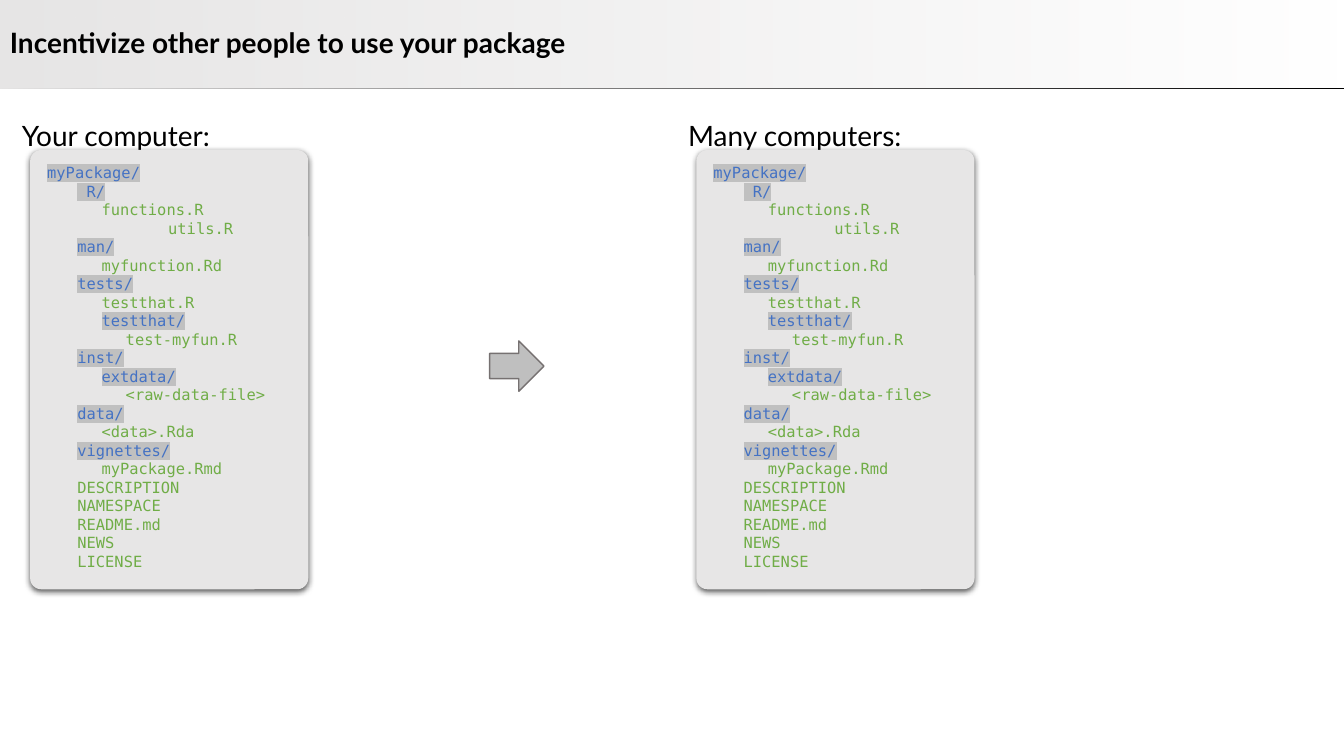
from dataclasses import dataclass

from lxml import etree
from pptx import Presentation
from pptx.dml.color import RGBColor
from pptx.enum.shapes import MSO_CONNECTOR, MSO_SHAPE
from pptx.enum.text import MSO_ANCHOR, PP_ALIGN
from pptx.oxml.ns import qn
from pptx.util import Cm, Pt

RECTANGLE = MSO_SHAPE.RECTANGLE
ROUNDED = MSO_SHAPE.ROUNDED_RECTANGLE
RIGHT_ARROW = MSO_SHAPE.RIGHT_ARROW
STRAIGHT = MSO_CONNECTOR.STRAIGHT
MIDDLE, TOP = MSO_ANCHOR.MIDDLE, MSO_ANCHOR.TOP
LEFT = PP_ALIGN.LEFT

TITLE = "Incentivize other people to use your package"
HEADINGS = ["Your computer:", "Many computers:"]
PACKAGE_TREE = [
    (0, "myPackage/"),
    (1, " R/"),
    (2, "functions.R"),
    (4, "utils.R"),
    (1, "man/"),
    (2, "myfunction.Rd"),
    (1, "tests/"),
    (2, "testthat.R"),
    (2, "testthat/"),
    (3, "test-myfun.R"),
    (1, "inst/"),
    (2, "extdata/"),
    (3, "<raw-data-file>"),
    (1, "data/"),
    (2, "<data>.Rda"),
    (1, "vignettes/"),
    (2, "myPackage.Rmd"),
    (1, "DESCRIPTION"),
    (1, "NAMESPACE"),
    (1, "README.md"),
    (1, "NEWS"),
    (1, "LICENSE"),
]


@dataclass(frozen=True)
class Theme:
    ink: str = "000000"
    panel: str = "E7E6E6"
    folder: str = "4472C4"
    file: str = "70AD47"
    highlight: str = "C0C0C0"
    arrow: str = "BFBFBF"
    arrow_edge: str = "767171"
    text_font: str = "Lato"
    code_font: str = "DejaVu Sans Mono"
    heading_size: int = 20
    code_size: int = 11
    code_leading: float = 13.2


THEME = Theme()
PAGE_WIDTH, PAGE_HEIGHT = 33.87, 19.05
HEADER_HEIGHT = 2.24
COLUMN_STEP = 16.79
LEVEL_INDENTS = (0, 0.76, 1.37, 1.98, 3.05)


def rgb(value):
    return RGBColor.from_string(value)


def add_block(page, preset, left, top, width, height, fill=None, edge=None):
    block = page.shapes.add_shape(preset, Cm(left), Cm(top), Cm(width), Cm(height))
    block.shadow.inherit = False
    if fill:
        block.fill.solid()
        block.fill.fore_color.rgb = rgb(fill)
    if edge:
        block.line.color.rgb = rgb(edge)
        block.line.width = Pt(1)
    else:
        block.line.fill.background()
    return block


def add_text_box(page, left, top, width, height):
    return page.shapes.add_textbox(Cm(left), Cm(top), Cm(width), Cm(height))


def write(para, text, font=THEME.text_font, size=THEME.heading_size,
          color=THEME.ink, bold=False, highlight=None, spacing=None, indent=0):
    para.alignment = LEFT
    if spacing:
        para.line_spacing = spacing
    if indent:
        para._p.get_or_add_pPr().set("marL", str(Cm(indent)))
    span = para.add_run()
    span.text = text
    span.font.name = font
    span.font.size = Pt(size)
    span.font.bold = bold
    span.font.color.rgb = rgb(color)
    if highlight:
        mark = etree.Element(qn("a:highlight"))
        etree.SubElement(mark, qn("a:srgbClr"), val=highlight)
        span._r.rPr.find(qn("a:solidFill")).addnext(mark)


def prepare_frame(box, anchor=TOP):
    frame = box.text_frame
    frame.word_wrap = True
    frame.vertical_anchor = anchor
    return frame


def add_header(page):
    rule = page.shapes.add_connector(
        STRAIGHT, 0, Cm(HEADER_HEIGHT), Cm(PAGE_WIDTH), Cm(HEADER_HEIGHT))
    rule.line.color.rgb = rgb(THEME.ink)
    rule.line.width = Pt(0.75)
    etree.SubElement(rule._element.spPr, qn("a:effectLst"))

    band = add_block(page, RECTANGLE, 0, 0, PAGE_WIDTH, HEADER_HEIGHT)
    band.fill.gradient()
    band.fill.gradient_angle = 0
    for stop in band.fill.gradient_stops:
        stop.color.rgb = rgb(THEME.panel)
    last_color = list(band._element.spPr.iter(qn("a:srgbClr")))[-1]
    etree.SubElement(last_color, qn("a:alpha"), val="0")
    write(prepare_frame(band, MIDDLE).paragraphs[0], TITLE, bold=True, spacing=0.9)


def add_card_shadow(card):
    effects = card._element.spPr.find(qn("a:effectLst"))
    shadow = etree.SubElement(
        effects, qn("a:outerShdw"), blurRad=str(Pt(4.5)), dist=str(Pt(1.5)),
        dir="5400000", algn="ctr", rotWithShape="0")
    color = etree.SubElement(shadow, qn("a:srgbClr"), val=THEME.ink)
    etree.SubElement(color, qn("a:alpha"), val="63000")


def add_computer(page, heading, offset):
    label = add_text_box(page, 0.3 + offset, 2.44, 8.13, 2.24)
    write(prepare_frame(label).paragraphs[0], heading, spacing=1.5)

    card = add_block(page, ROUNDED, 0.76 + offset, 3.78, 7.01, 11.07, THEME.panel)
    card.adjustments[0] = 0.04
    add_card_shadow(card)

    listing = prepare_frame(add_text_box(page, 0.94 + offset, 3.99, 6.43, 11.94))
    for index, (level, name) in enumerate(PACKAGE_TREE):
        para = listing.add_paragraph() if index else listing.paragraphs[0]
        is_folder = name.endswith("/")
        write(para, name, font=THEME.code_font, size=THEME.code_size,
              color=THEME.folder if is_folder else THEME.file,
              highlight=THEME.highlight if is_folder else None,
              spacing=Pt(THEME.code_leading), indent=LEVEL_INDENTS[level])


def main():
    deck = Presentation()
    deck.slide_width, deck.slide_height = Cm(PAGE_WIDTH), Cm(PAGE_HEIGHT)
    page = deck.slides.add_slide(deck.slide_layouts[6])
    add_header(page)
    for column, heading in enumerate(HEADINGS):
        add_computer(page, heading, column * COLUMN_STEP)
    add_block(page, RIGHT_ARROW, 12.34, 8.59, 1.37, 1.27, THEME.arrow, THEME.arrow_edge)
    deck.save("out.pptx")


if __name__ == "__main__":
    main()
